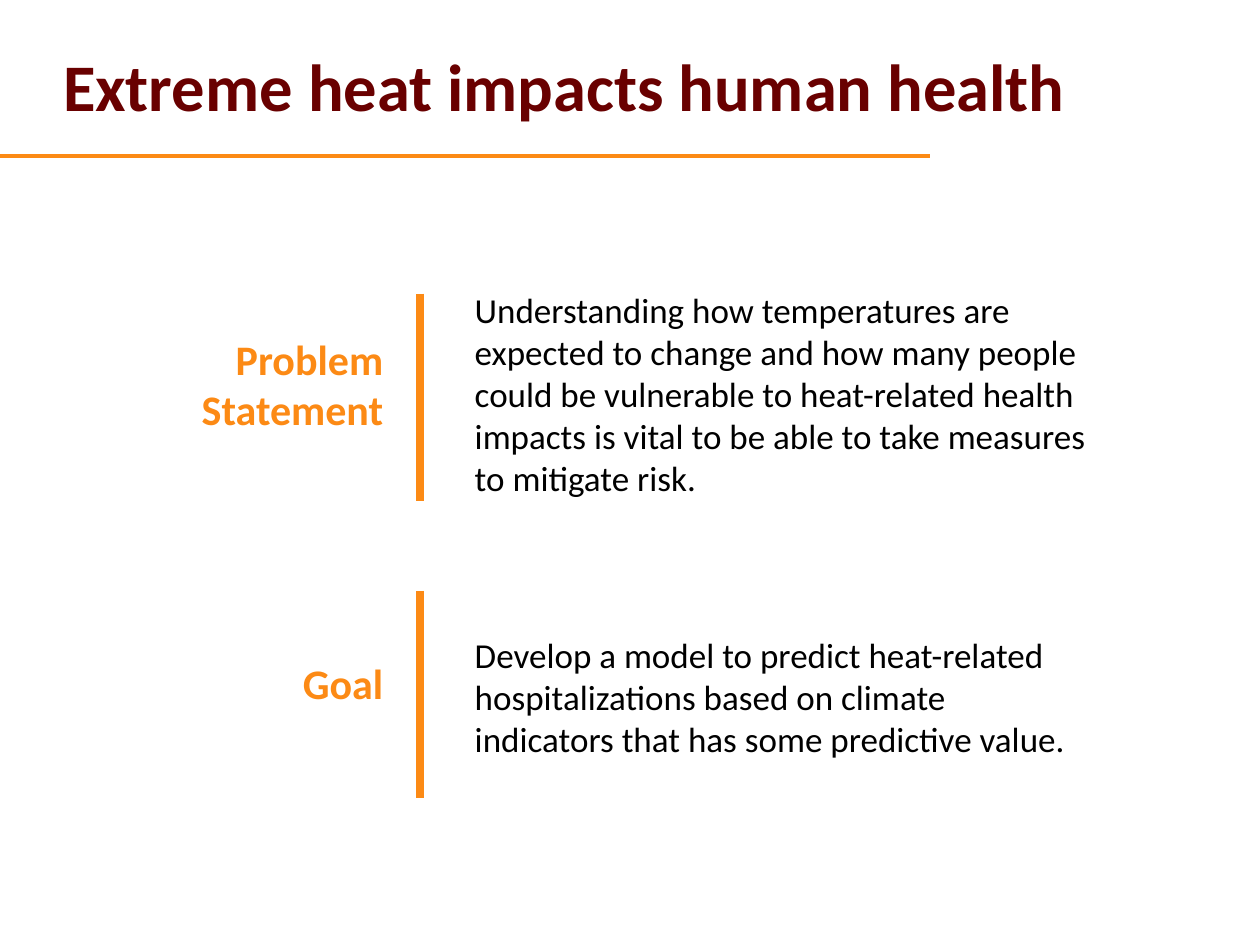
"""Build the slide stating the problem and goal for extreme heat and health."""
from dataclasses import dataclass

import pptx
import pptx.dml.color
import pptx.enum.shapes
import pptx.enum.text
import pptx.oxml.ns
import pptx.shapes.base
import pptx.slide
import pptx.util
from lxml import etree

Pt = pptx.util.Pt
RGBColor = pptx.dml.color.RGBColor
Align = pptx.enum.text.PP_ALIGN
Anchor = pptx.enum.text.MSO_ANCHOR

MAROON = RGBColor(0x69, 0x00, 0x00)
ORANGE = RGBColor(0xFC, 0x8A, 0x15)
BLACK = RGBColor(0x00, 0x00, 0x00)
FONT = "Calibri"
DIVIDER_X = 239.8
DIVIDER_HEIGHT = 118.4


@dataclass(frozen=True)
class Section:
    label: str
    text: str
    divider_top: float
    label_top: float
    text_top: float
    text_height: float


@dataclass(frozen=True)
class Style:
    size: float
    color: RGBColor
    bold: bool
    align: Align
    anchor: Anchor


TITLE = Style(38, MAROON, True, Align.LEFT, Anchor.MIDDLE)
LABEL = Style(24, ORANGE, True, Align.RIGHT, Anchor.MIDDLE)
BODY = Style(20, BLACK, False, Align.LEFT, Anchor.TOP)

SECTIONS = [
    Section(
        "Problem\nStatement",
        "Understanding how temperatures are expected to change and how many "
        "people could be vulnerable to heat-related health impacts is vital "
        "to be able to take measures to mitigate risk.",
        167.8, 180.7, 161.3, 128.2,
    ),
    Section(
        "Goal",
        "Develop a model to predict heat-related hospitalizations based on "
        "climate indicators that has some predictive value.",
        337.7, 351.4, 358.6, 79.9,
    ),
]


def write_text(box: pptx.shapes.base.BaseShape, text: str, style: Style) -> None:
    frame = box.text_frame
    frame.text = text
    frame.word_wrap = True
    frame.auto_size = pptx.enum.text.MSO_AUTO_SIZE.NONE
    frame.vertical_anchor = style.anchor
    for para in frame.paragraphs:
        para.alignment = style.align
        for span in para.runs:
            span.font.name = FONT
            span.font.size = Pt(style.size)
            span.font.bold = style.bold
            span.font.color.rgb = style.color


def add_text(page: pptx.slide.Slide, left: float, top: float, width: float,
             height: float, text: str, style: Style) -> None:
    box = page.shapes.add_textbox(Pt(left), Pt(top), Pt(width), Pt(height))
    write_text(box, text, style)


def add_line(page: pptx.slide.Slide, left: float, top: float, right: float,
             bottom: float, weight: float) -> None:
    line = page.shapes.add_connector(
        pptx.enum.shapes.MSO_CONNECTOR.STRAIGHT,
        Pt(left), Pt(top), Pt(right), Pt(bottom),
    )
    line.line.color.rgb = ORANGE
    line.line.width = Pt(weight)
    etree.SubElement(line.element.spPr, pptx.oxml.ns.qn("a:effectLst"))


def add_section(page: pptx.slide.Slide, section: Section) -> None:
    add_text(page, 92.2, section.label_top, 133.9, 77, section.label, LABEL)
    add_line(page, DIVIDER_X, section.divider_top, DIVIDER_X,
             section.divider_top + DIVIDER_HEIGHT, 4.5)
    add_text(page, 264.2, section.text_top, 365.8, section.text_height,
             section.text, BODY)


def main() -> None:
    deck = pptx.Presentation()
    deck.slide_width, deck.slide_height = Pt(720), Pt(540)
    page = deck.slides.add_slide(deck.slide_layouts.get_by_name("Title Only"))
    title = page.shapes.title
    title.left, title.top = Pt(28.8), Pt(10.1)
    title.width, title.height = Pt(683.3), Pt(77)
    write_text(title, "Extreme heat impacts human health", TITLE)
    add_line(page, 0, 89.3, 531.4, 89.3, 2.25)
    for section in SECTIONS:
        add_section(page, section)
    deck.save("out.pptx")


if __name__ == "__main__":
    main()
